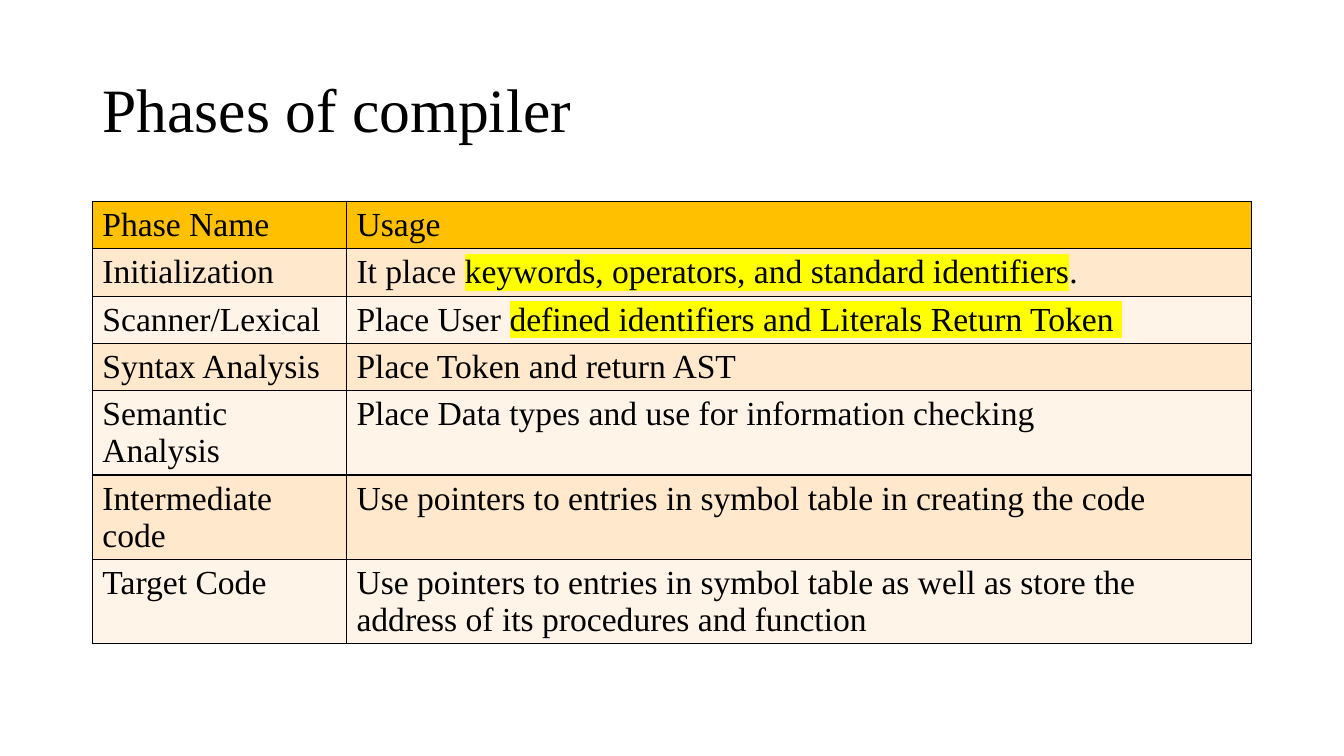
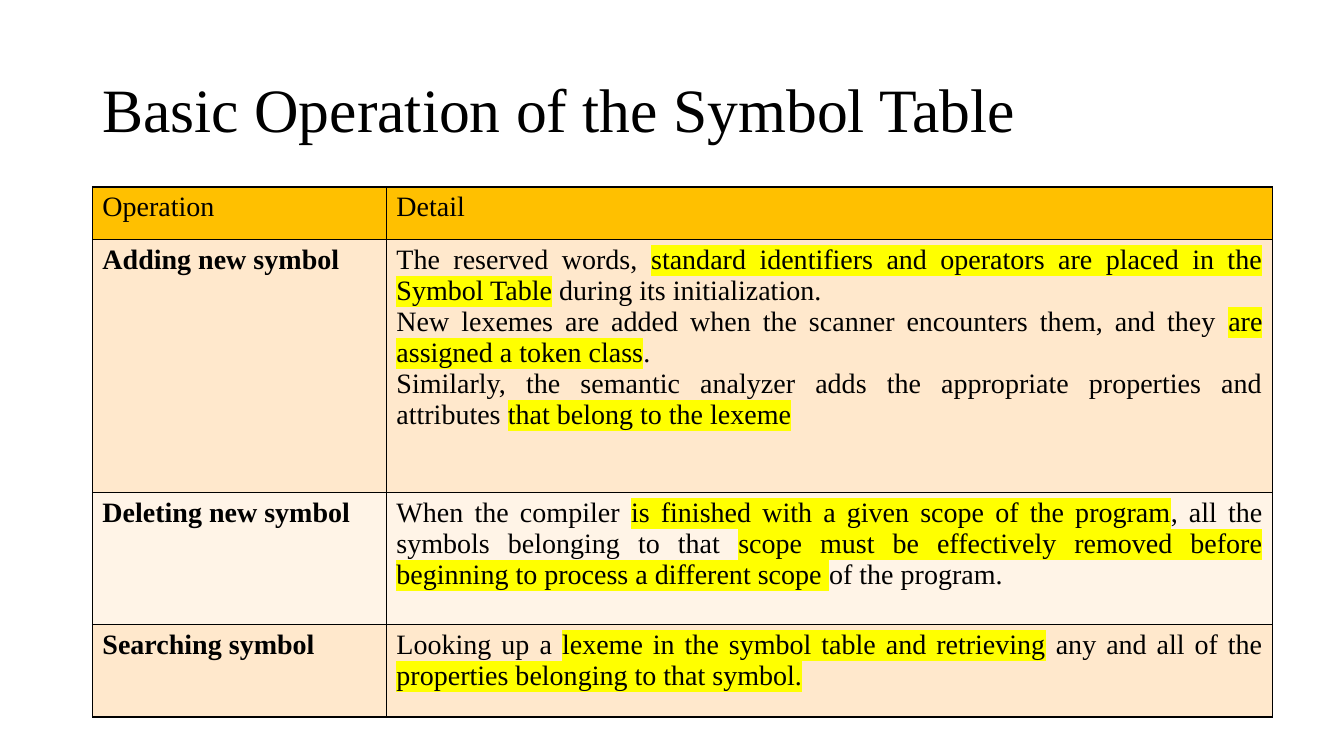
"""Build two slides on compiler phases and symbol table operations."""
from dataclasses import dataclass

from lxml.etree import SubElement
from pptx import Presentation
from pptx.dml.color import RGBColor
from pptx.enum.text import MSO_ANCHOR, MSO_AUTO_SIZE, PP_ALIGN
from pptx.oxml.ns import qn
from pptx.util import Pt

PX = 9525


@dataclass(frozen=True)
class Theme:
    font: str = "Times New Roman"
    ink: str = "000000"
    header: str = "FFC000"
    bands: tuple = ("FFE8CC", "FFF4E7")
    marker: str = "FFFF00"
    title_size: int = 44


theme = Theme()


def style(para, size, align, bold=False):
    para.alignment = align
    para.font.name = theme.font
    para.font.size = Pt(size)
    para.font.bold = bold
    para.font.color.rgb = RGBColor.from_string(theme.ink)


def add_borders(cell):
    properties = cell._tc.get_or_add_tcPr()
    for side in ("lnL", "lnR", "lnT", "lnB"):
        line = SubElement(properties, qn(f"a:{side}"), w=str(Pt(1)))
        fill = SubElement(line, qn("a:solidFill"))
        SubElement(fill, qn("a:srgbClr"), val=theme.ink)


# Text between vertical bars is highlighted.
slides = [
    {
        "title": "Phases of compiler",
        "top": 192,
        "columns": (242, 862),
        "heights": (39,) * 7,
        "size": 24,
        "align": PP_ALIGN.LEFT,
        "bold_labels": False,
        "rows": [
            ("Phase Name", "Usage"),
            ("Initialization",
             "It place |keywords, operators, and standard identifiers|."),
            ("Scanner/Lexical",
             "Place User |defined identifiers and Literals Return Token |"),
            ("Syntax Analysis", "Place Token and return AST"),
            ("Semantic Analysis",
             "Place Data types and use for information checking"),
            ("Intermediate code",
             "Use pointers to entries in symbol table in creating the code"),
            ("Target Code",
             "Use pointers to entries in symbol table as well as store the "
             "address of its procedures and function"),
        ],
    },
    {
        "title": "Basic Operation of the Symbol Table",
        "top": 178,
        "columns": (280, 844),
        "heights": (50, 241, 126, 88),
        "size": 20,
        "align": PP_ALIGN.JUSTIFY,
        "bold_labels": True,
        "rows": [
            ("Operation", "Detail"),
            ("Adding new symbol",
             "The reserved words, |standard identifiers and operators are "
             "placed in the Symbol Table| during its initialization.\n"
             "New lexemes are added when the scanner encounters them, and "
             "they |are assigned a token class|.\n"
             "Similarly, the semantic analyzer adds the appropriate "
             "properties and attributes |that belong to the lexeme|"),
            ("Deleting new symbol",
             "When the compiler |is finished with a given scope of the "
             "program|, all the symbols belonging to that |scope must be "
             "effectively removed before beginning to process a different "
             "scope |of the program."),
            ("Searching symbol",
             "Looking up a |lexeme in the symbol table and retrieving| any "
             "and all of the |properties belonging to that symbol.|"),
        ],
    },
]

deck = Presentation()
deck.slide_width, deck.slide_height = 1280 * PX, 720 * PX

for content in slides:
    page = deck.slides.add_slide(deck.slide_layouts[5])
    title = page.shapes.title
    title.left, title.top = 88 * PX, 38 * PX
    title.width, title.height = 1104 * PX, 139 * PX
    title.text_frame.text = content["title"]
    title.text_frame.word_wrap = True
    title.text_frame.auto_size = MSO_AUTO_SIZE.NONE
    title.text_frame.vertical_anchor = MSO_ANCHOR.MIDDLE
    heading = title.text_frame.paragraphs[0]
    heading.line_spacing = 0.9
    style(heading, theme.title_size, PP_ALIGN.LEFT)

    rows, columns, heights = content["rows"], content["columns"], content["heights"]
    table = page.shapes.add_table(
        len(rows), len(columns), 88 * PX, content["top"] * PX,
        sum(columns) * PX, sum(heights) * PX).table
    table.first_row = False
    table.horz_banding = False
    for column, width in zip(table.columns, columns):
        column.width = width * PX
    for row, height in zip(table.rows, heights):
        row.height = height * PX

    for row_index, texts in enumerate(rows):
        color = theme.bands[(row_index - 1) % 2] if row_index else theme.header
        for column_index, text in enumerate(texts):
            cell = table.cell(row_index, column_index)
            add_borders(cell)
            cell.fill.solid()
            cell.fill.fore_color.rgb = RGBColor.from_string(color)
            bold = content["bold_labels"] and row_index > 0 and column_index == 0
            for line_index, line in enumerate(text.split("\n")):
                frame = cell.text_frame
                para = frame.add_paragraph() if line_index else frame.paragraphs[0]
                style(para, content["size"], content["align"], bold)
                for part_index, part in enumerate(line.split("|")):
                    if not part:
                        continue
                    span = para.add_run()
                    span.text = part
                    if part_index % 2:
                        properties = span._r.get_or_add_rPr()
                        highlight = SubElement(properties, qn("a:highlight"))
                        SubElement(highlight, qn("a:srgbClr"), val=theme.marker)

deck.save("out.pptx")
